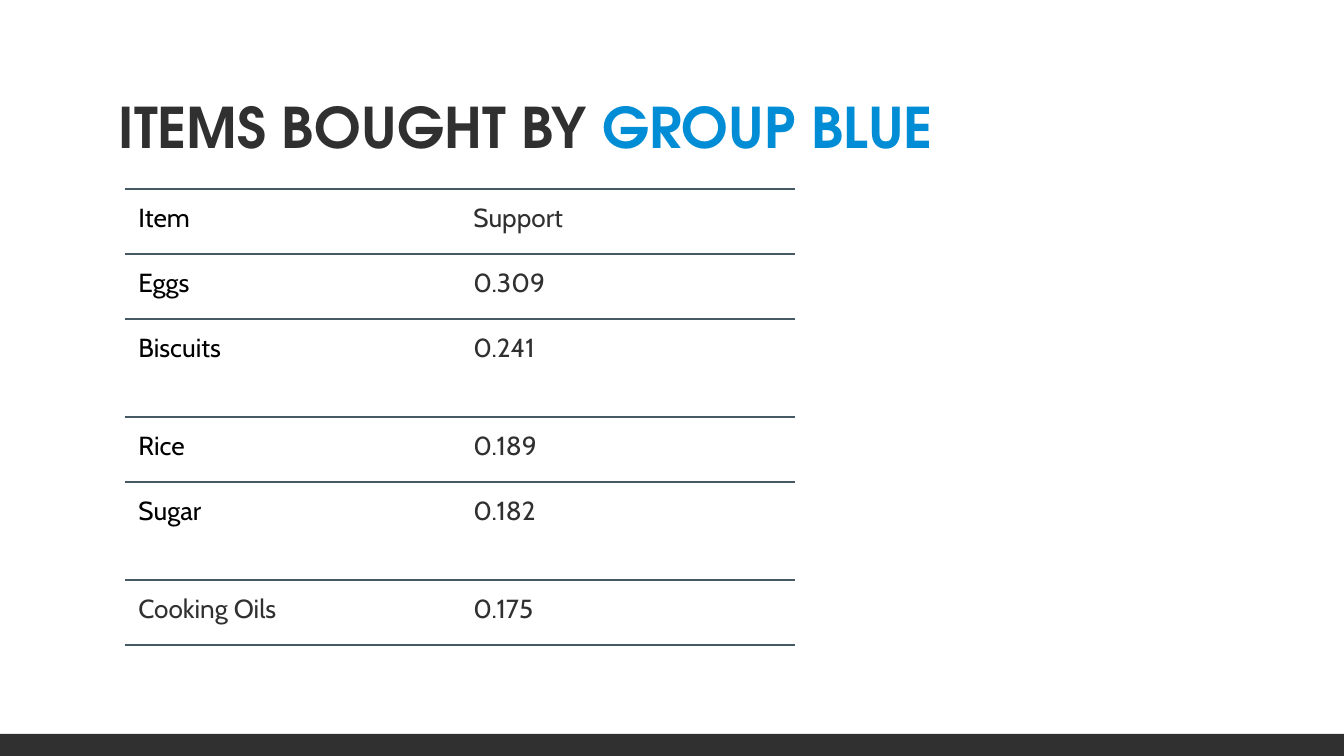
from lxml import etree
from pptx import Presentation
from pptx import util as u
from pptx.dml.color import RGBColor
from pptx.enum import shapes, text
from pptx.oxml.ns import qn

PX = 914400 / 134.4
COLORS = {"ink": "303030", "black": "000000", "blue": "008DD5", "rule": "455A64"}
HEADING_FONT, BODY_FONT = "TeX Gyre Adventor", "Cabin"
NO_STYLE_NO_GRID = "{2D5ABB26-0587-4C30-8999-92F81FD0307C}"

SUPPORTS = [
    ("Item", "Support"),
    ("Eggs", "0.309"),
    ("Biscuits", "0.241"),
    ("Rice", "0.189"),
    ("Sugar", "0.182"),
    ("Cooking Oils", "0.175"),
]
ROW, TALL_ROW, COLUMN = 65, 98, 335
TALL_ITEMS = {"Biscuits", "Sugar"}


def px(length):
    return u.Emu(round(length * PX))


def color(name):
    return RGBColor.from_string(COLORS[name])


def add_run(paragraph, words, *, font, size, fill="ink", bold=False):
    run = paragraph.add_run()
    run.text = words
    run.font.name = font
    run.font.size = u.Pt(size)
    run.font.bold = bold
    run.font.color.rgb = color(fill)


def pad(frame):
    """Give a text frame or a table cell the same inset on all sides."""
    frame.margin_left = frame.margin_right = u.Inches(0.1)
    frame.margin_top = frame.margin_bottom = u.Inches(0.1)


def rule_cell(cell, width=1.5):
    """Draw lines above and below a cell and none at its sides."""
    properties = cell._tc.get_or_add_tcPr()
    for position, side in enumerate(("lnL", "lnR", "lnT", "lnB")):
        line = etree.Element(qn(f"a:{side}"), w=str(u.Pt(width)))
        if side in ("lnT", "lnB"):
            fill = etree.SubElement(line, qn("a:solidFill"))
            etree.SubElement(fill, qn("a:srgbClr"), val=COLORS["rule"])
        else:
            etree.SubElement(line, qn("a:noFill"))
        properties.insert(position, line)


class Deck:
    def __init__(self, width, height):
        self.presentation = Presentation()
        self.presentation.slide_width = px(width)
        self.presentation.slide_height = px(height)
        self.slide = None

    def new_slide(self):
        layout = self.presentation.slide_layouts.get_by_name("Title Only")
        self.slide = self.presentation.slides.add_slide(layout)

    def bar(self, x, y, w, h):
        bar = self.slide.shapes.add_shape(
            shapes.MSO_SHAPE.RECTANGLE, px(x), px(y), px(w), px(h))
        bar.shadow.inherit = False
        bar.fill.solid()
        bar.fill.fore_color.rgb = color("ink")
        bar.line.fill.background()

    def title(self, x, y, w, h, parts):
        title = self.slide.shapes.title
        title.left, title.top, title.width, title.height = map(px, (x, y, w, h))
        frame = title.text_frame
        frame.word_wrap = True
        frame.auto_size = text.MSO_AUTO_SIZE.NONE
        frame.vertical_anchor = text.MSO_ANCHOR.TOP
        pad(frame)
        heading = frame.paragraphs[0]
        heading.alignment = text.PP_ALIGN.LEFT
        for words, fill in parts:
            add_run(heading, words, font=HEADING_FONT, size=30, fill=fill, bold=True)

    def table(self, x, y, rows):
        heights = [TALL_ROW if item in TALL_ITEMS else ROW for item, _ in rows]
        frame = self.slide.shapes.add_table(
            len(rows), 2, px(x), px(y), px(2 * COLUMN), px(sum(heights)))
        table = frame.table
        table.first_row = table.horz_banding = False
        table._tbl.tblPr.find(qn("a:tableStyleId")).text = NO_STYLE_NO_GRID
        for column in table.columns:
            column.width = px(COLUMN)
        for r, (values, height) in enumerate(zip(rows, heights)):
            table.rows[r].height = px(height)
            for c, value in enumerate(values):
                cell = table.cell(r, c)
                cell.fill.background()
                pad(cell)
                rule_cell(cell)
                is_black = c == 0 and r < len(rows) - 1
                add_run(cell.text_frame.paragraphs[0], value, font=BODY_FONT,
                        size=14, fill="black" if is_black else "ink")


def main():
    deck = Deck(1344, 756)
    deck.new_slide()
    deck.bar(0, 734, 1344, 22)
    deck.title(105, 79, 1134, 86,
               [("ITEMS BOUGHT BY ", "ink"), ("GROUP BLUE", "blue")])
    deck.table(125, 189, SUPPORTS)
    deck.presentation.save("out.pptx")


if __name__ == "__main__":
    main()
